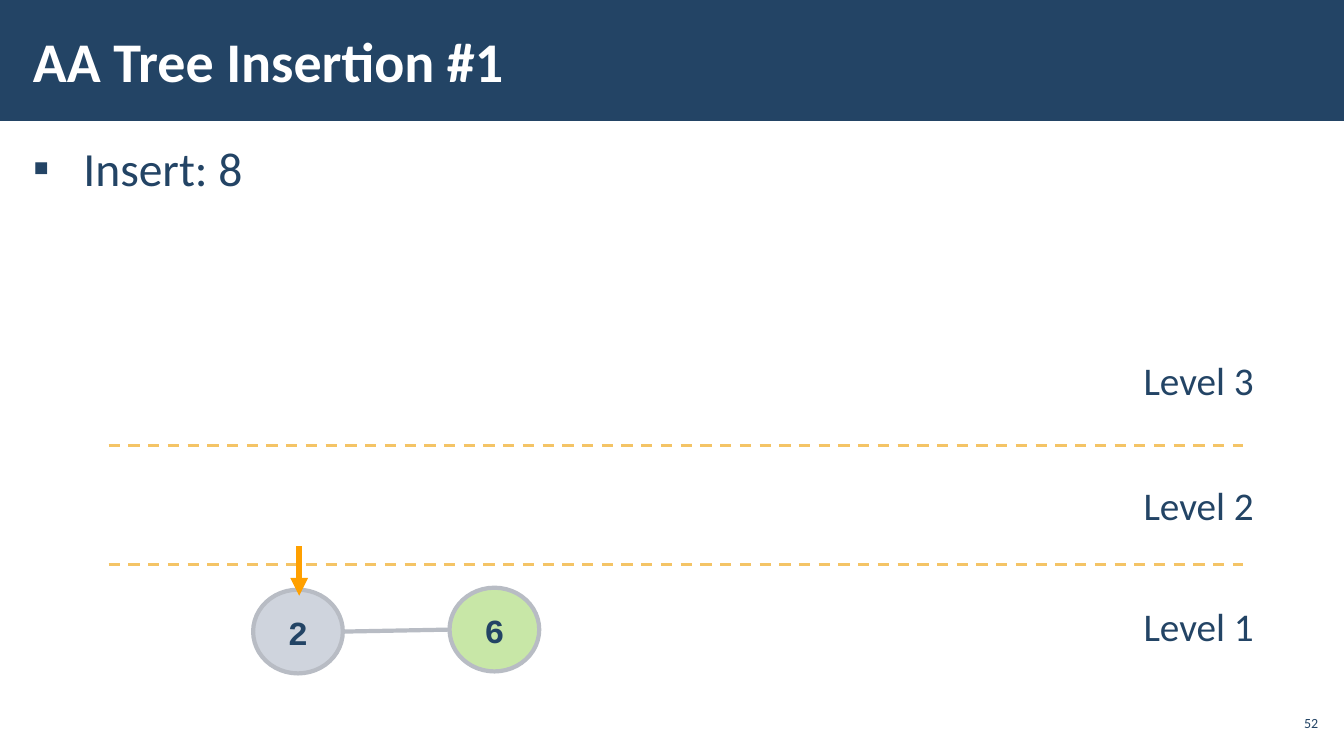
from dataclasses import dataclass

from lxml.etree import SubElement
from pptx import Presentation
from pptx.dml.color import RGBColor
from pptx.enum.dml import MSO_LINE
from pptx.enum.shapes import MSO_CONNECTOR, MSO_SHAPE
from pptx.enum.text import MSO_ANCHOR, MSO_AUTO_SIZE, PP_ALIGN
from pptx.oxml.ns import qn
from pptx.util import Cm, Pt

COLORS = {
    "navy": "234465",
    "white": "FFFFFF",
    "divider": "F4C466",
    "edge": "B8BCC4",
    "visited": "A1AABC",
    "leaf": "C8E7A7",
    "pointer": "FFA000",
}
BODY_FONT, NODE_FONT = "Calibri", "Courier New"


@dataclass
class Box:
    left: float
    top: float
    width: float
    height: float

    def place(self, shape):
        shape.left, shape.top = Cm(self.left), Cm(self.top)
        shape.width, shape.height = Cm(self.width), Cm(self.height)

    def lengths(self):
        return [Cm(v) for v in (self.left, self.top, self.width, self.height)]


def rgb(name):
    return RGBColor.from_string(COLORS[name])


def write(shape, text, size, color="navy", font=BODY_FONT, bold=False,
          align=PP_ALIGN.LEFT, anchor=MSO_ANCHOR.TOP, insets=(0.25, 0.13)):
    frame = shape.text_frame
    frame.text = text
    frame.word_wrap = True
    frame.auto_size = MSO_AUTO_SIZE.NONE
    frame.vertical_anchor = anchor
    frame.margin_left = frame.margin_right = Cm(insets[0])
    frame.margin_top = frame.margin_bottom = Cm(insets[1])
    para = frame.paragraphs[0]
    para.alignment = align
    style = para.runs[0].font
    style.name, style.size, style.bold = font, Pt(size), bold
    style.color.rgb = rgb(color)
    return para


def add_line(page, start, end, color, width):
    points = [Cm(v) for v in (*start, *end)]
    line = page.shapes.add_connector(MSO_CONNECTOR.STRAIGHT, *points)
    line.line.color.rgb = rgb(color)
    line.line.width = Pt(width)
    SubElement(line._element.spPr, qn("a:effectLst"))
    return line


def add_header(page, box, text):
    # Banner goes behind the title placeholder
    banner = page.shapes.add_shape(MSO_SHAPE.RECTANGLE, *box.lengths())
    banner.shadow.inherit = False
    banner.fill.solid()
    banner.fill.fore_color.rgb = rgb("navy")
    banner.line.fill.background()
    banner._element.getparent().insert(2, banner._element)

    title = page.shapes.title
    Box(box.left + 0.53, box.top + 0.28, 26.42, box.height - 0.59).place(title)
    write(title, text, 40, "white", bold=True, anchor=MSO_ANCHOR.MIDDLE,
          insets=(0.3, 0.1))


def add_bullet(page, box, text):
    body = page.placeholders[1]
    box.place(body)
    para = write(body, text, 34, insets=(0.3, 0.1))
    para.line_spacing = 1.05
    para.space_before = Pt(0)
    props = para._p.get_or_add_pPr()
    props.set("marL", str(Cm(1.27)))
    props.set("indent", str(-Cm(1.27)))
    bullet_color = SubElement(props, qn("a:buClr"))
    SubElement(bullet_color, qn("a:srgbClr"), val=COLORS["navy"])
    SubElement(props, qn("a:buChar"), char="▪")


def add_levels(page, box):
    # Dashed dividers between the levels
    for offset in (2.39, 5.38):
        y = box.top + offset
        divider = add_line(page, (box.left, y), (box.left + 28.58, y), "divider", 2)
        divider.line.dash_style = MSO_LINE.DASH

    # Level names along the right edge
    for level, offset in ((3, 0), (2, 3.15), (1, 6.2)):
        place = Box(box.left + box.width - 3.33, box.top + offset, 3.33, 1.45)
        label = page.shapes.add_textbox(*place.lengths())
        write(label, f"Level {level}", 28)


def add_node(page, box, key, color, opacity=100):
    node = page.shapes.add_shape(MSO_SHAPE.OVAL, *box.lengths())
    node.shadow.inherit = False
    node.fill.solid()
    node.fill.fore_color.rgb = rgb(color)
    if opacity < 100:
        fill_color = node._element.spPr.find(qn("a:solidFill"))[0]
        SubElement(fill_color, qn("a:alpha"), val=str(opacity * 1000))
    node.line.color.rgb = rgb("edge")
    node.line.width = Pt(3)
    write(node, key, 24, font=NODE_FONT, bold=True, align=PP_ALIGN.CENTER,
          anchor=MSO_ANCHOR.MIDDLE)


def add_tree(page, box):
    width, height = 2.26, 2.11
    root = Box(box.left, box.top + 0.05, width, height)
    right = Box(box.left + box.width - width, box.top, width, height)
    add_node(page, right, "6", "leaf")
    add_node(page, root, "2", "visited", opacity=50)

    # Horizontal link between the nodes
    add_line(page, (right.left, right.top + height / 2),
             (root.left + width, root.top + height / 2), "edge", 3)

    # Pointer to the current node
    x = root.left + width / 2 + 0.03
    pointer = add_line(page, (x, root.top - 1.09), (x, root.top + 0.15),
                       "pointer", 4.25)
    SubElement(pointer.line._get_or_add_ln(), qn("a:tailEnd"), type="triangle")


def add_page_number(page, box, number):
    label = page.shapes.add_textbox(*box.lengths())
    write(label, number, 10, align=PP_ALIGN.RIGHT, anchor=MSO_ANCHOR.MIDDLE,
          insets=(0.1, 0.1))


def main():
    deck = Presentation()
    deck.slide_width, deck.slide_height = Cm(33.87), Cm(19.05)
    page = deck.slides.add_slide(deck.slide_layouts[1])
    add_header(page, Box(0, 0, 33.87, 3.05), "AA Tree Insertion #1")
    add_bullet(page, Box(0.53, 3.33, 32.82, 14.45), "Insert: 8")
    add_page_number(page, Box(32.13, 17.78, 1.19, 0.86), "52")
    add_levels(page, Box(2.74, 8.84, 29.16, 7.65))
    add_tree(page, Box(6.38, 14.81, 7.21, 2.16))
    deck.save("out.pptx")


if __name__ == "__main__":
    main()
